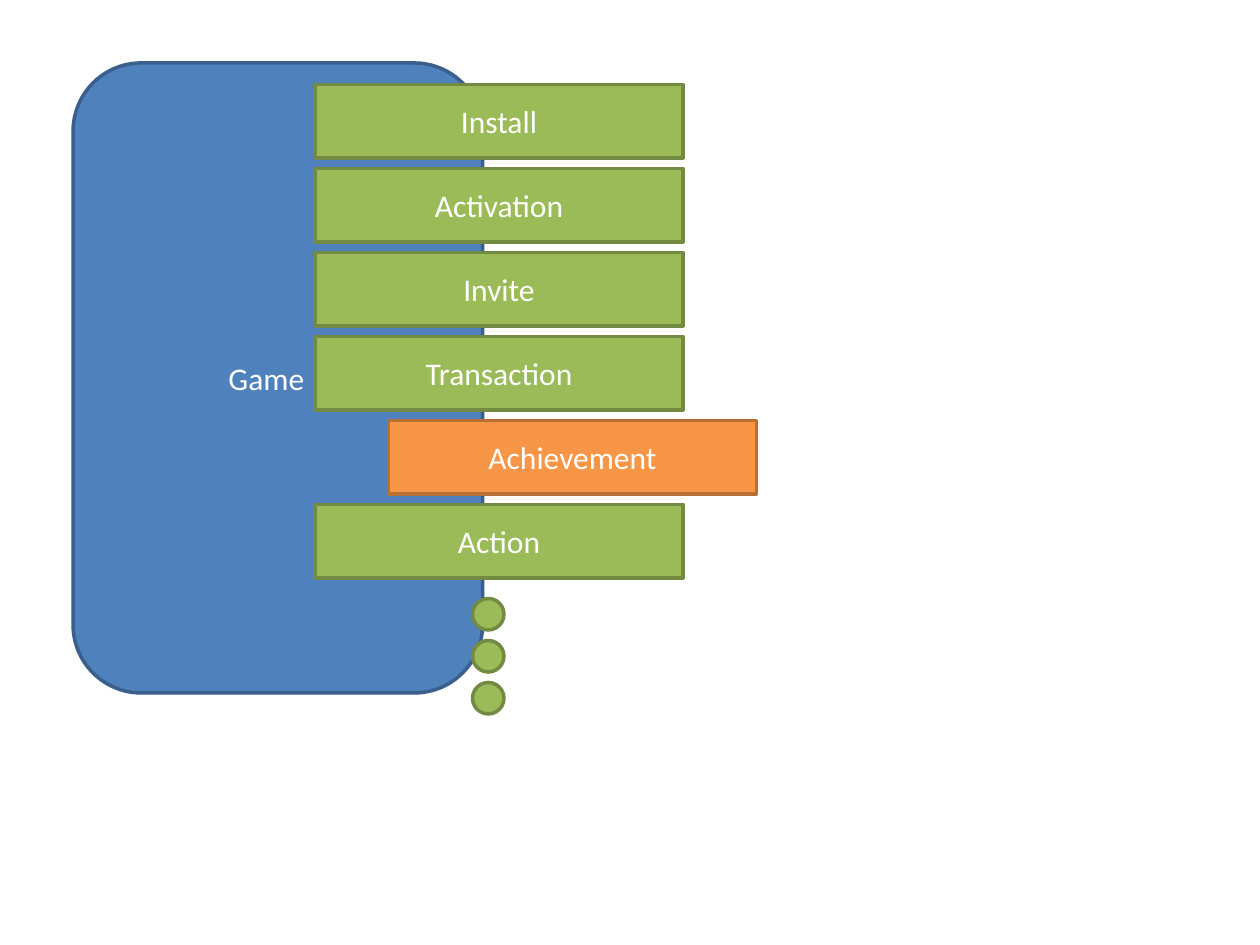
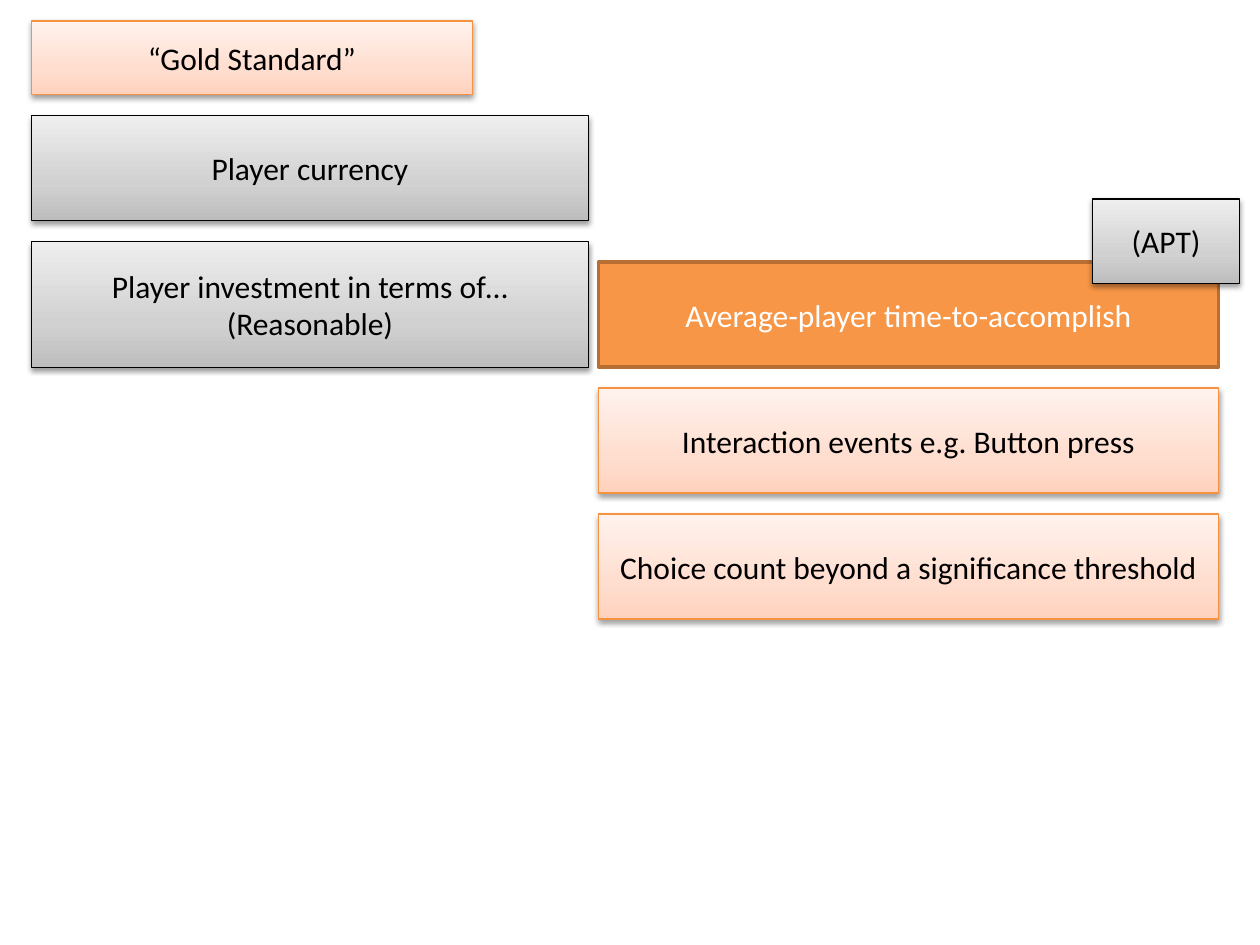
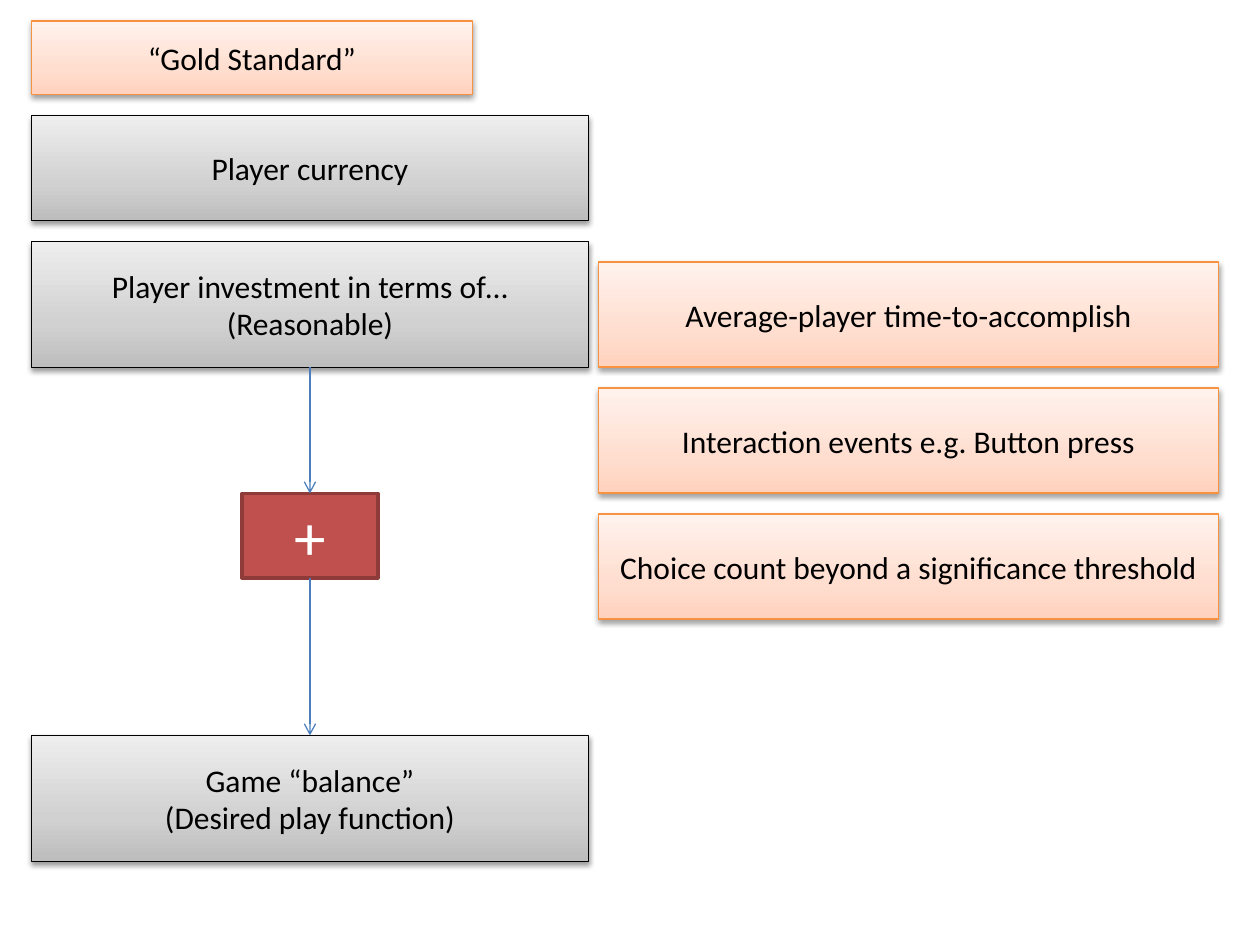
from dataclasses import dataclass

from lxml import etree
from pptx import Presentation
from pptx.dml.color import RGBColor
from pptx.enum.shapes import MSO_CONNECTOR, MSO_SHAPE
from pptx.enum.text import MSO_ANCHOR, PP_ALIGN
from pptx.oxml.ns import qn
from pptx.util import Inches, Pt

RECTANGLE = MSO_SHAPE.RECTANGLE
ROUNDED = MSO_SHAPE.ROUNDED_RECTANGLE
OVAL = MSO_SHAPE.OVAL
STRAIGHT = MSO_CONNECTOR.STRAIGHT
MIDDLE = MSO_ANCHOR.MIDDLE
CENTER = PP_ALIGN.CENTER

WHITE = RGBColor(0xFF, 0xFF, 0xFF)
BLACK = RGBColor(0x00, 0x00, 0x00)
BLUE = RGBColor(0x4F, 0x81, 0xBD)
BLUE_EDGE = RGBColor(0x3A, 0x5F, 0x8C)
GREEN = RGBColor(0x9B, 0xBB, 0x59)
GREEN_EDGE = RGBColor(0x73, 0x8A, 0x42)
ORANGE = RGBColor(0xF7, 0x96, 0x46)
ORANGE_EDGE = RGBColor(0xB7, 0x6F, 0x34)
RED = RGBColor(0xC0, 0x50, 0x4D)
RED_EDGE = RGBColor(0x8E, 0x3B, 0x39)
ARROW_BLUE = RGBColor(0x4B, 0x7E, 0xBC)
PEACH_EDGE = RGBColor(0xF6, 0x92, 0x40)
PEACH_STOPS = (
    (0, RGBColor(0xFF, 0xD2, 0xBD)),
    (35, RGBColor(0xFF, 0xDE, 0xD0)),
    (100, RGBColor(0xFF, 0xF2, 0xED)),
)
GRAY_STOPS = (
    (0, RGBColor(0xBD, 0xBD, 0xBD)),
    (35, RGBColor(0xD1, 0xD1, 0xD1)),
    (100, RGBColor(0xEE, 0xEE, 0xEE)),
)

FONT = "Calibri"
GAP = Inches(1 / 6)
ROW_HEIGHT = Inches(7 / 12)
CARD_HEIGHT = Inches(5 / 6)
TALL_HEIGHT = Inches(1)


@dataclass
class Box:
    left: int
    top: int
    width: int
    height: int

    @property
    def bottom(self):
        return self.top + self.height

    @property
    def center(self):
        return self.left + self.width // 2


@dataclass
class Style:
    fill: object
    edge: RGBColor
    text: RGBColor = WHITE
    soft: bool = False


BLUE_STYLE = Style(BLUE, BLUE_EDGE)
GREEN_STYLE = Style(GREEN, GREEN_EDGE)
ORANGE_STYLE = Style(ORANGE, ORANGE_EDGE)
RED_STYLE = Style(RED, RED_EDGE)
PEACH_STYLE = Style(PEACH_STOPS, PEACH_EDGE, BLACK, True)
GRAY_STYLE = Style(GRAY_STOPS, BLACK, BLACK, True)


def add_child(parent, tag, **attributes):
    return etree.SubElement(parent, qn(tag), attributes)


def add_color(parent, color):
    return add_child(parent, "a:srgbClr", val=str(color))


def fill_gradient(shape, stops):
    shape.fill.gradient()
    shape.fill.gradient_angle = 90
    stop_list = shape.element.spPr.find(".//" + qn("a:gsLst"))
    for old_stop in list(stop_list):
        stop_list.remove(old_stop)
    for percent, color in stops:
        add_color(add_child(stop_list, "a:gs", pos=str(percent * 1000)), color)


def add_shadow(shape):
    effects = shape.element.spPr.find(qn("a:effectLst"))
    shadow = add_child(effects, "a:outerShdw", blurRad="40000", dist="20000",
                       dir="5400000", rotWithShape="0")
    add_child(add_color(shadow, BLACK), "a:alpha", val="38000")


def add_block(page, box, style, lines=(), kind=RECTANGLE, size=18):
    shape = page.shapes.add_shape(kind, box.left, box.top, box.width, box.height)
    shape.shadow.inherit = False
    shape.line.color.rgb = style.edge
    shape.line.width = Pt(0.75 if style.soft else 2)
    if style.soft:
        fill_gradient(shape, style.fill)
        add_shadow(shape)
    else:
        shape.fill.solid()
        shape.fill.fore_color.rgb = style.fill
    frame = shape.text_frame
    frame.word_wrap = True
    frame.vertical_anchor = MIDDLE
    for index, line in enumerate(lines):
        para = frame.add_paragraph() if index else frame.paragraphs[0]
        para.alignment = CENTER
        span = para.add_run()
        span.text = line
        span.font.name = FONT
        span.font.size = Pt(size)
        span.font.color.rgb = style.text
    return shape


def add_arrow(page, x, top, bottom):
    arrow = page.shapes.add_connector(STRAIGHT, x, top, x, bottom)
    arrow.line.color.rgb = ARROW_BLUE
    arrow.line.width = Pt(0.75)
    properties = arrow.element.spPr
    add_child(properties.find(qn("a:ln")), "a:tailEnd", type="arrow")
    add_child(properties, "a:effectLst")


def add_event_rows(page, box):
    events = ("Install", "Activation", "Invite", "Transaction", "Achievement", "Action")
    for index, event in enumerate(events):
        special = event == "Achievement"
        left = box.left + (ROW_HEIGHT if special else 0)
        row = Box(left, box.top + index * Inches(2 / 3), box.width, ROW_HEIGHT)
        add_block(page, row, ORANGE_STYLE if special else GREEN_STYLE, (event,))


def add_more_dots(page, box):
    for index in range(3):
        dot = Box(box.left, box.top + index * Inches(1 / 3), box.width, box.width)
        add_block(page, dot, GREEN_STYLE, kind=OVAL)


def add_game_page(page, box):
    game = Box(box.left + Inches(0.58), box.top + Inches(0.5), Inches(3.25), Inches(5))
    panel = add_block(page, game, BLUE_STYLE, ("Game",), ROUNDED)
    panel.text_frame.margin_right = Inches(0.28)
    add_event_rows(page, Box(box.left + Inches(2.5), box.top + Inches(0.67),
                             Inches(2.92), Inches(3.92)))
    add_more_dots(page, Box(box.left + Inches(3.75), box.top + Inches(4.75),
                            Inches(0.25), Inches(0.92)))


def add_standard_column(page, box):
    title = Box(box.left, box.top, Inches(3.5), ROW_HEIGHT)
    currency = Box(box.left, title.bottom + GAP, box.width, CARD_HEIGHT)
    investment = Box(box.left, currency.bottom + GAP, box.width, TALL_HEIGHT)
    add_block(page, title, PEACH_STYLE, ("“Gold Standard”",))
    add_block(page, currency, GRAY_STYLE, ("Player currency",))
    add_block(page, investment, GRAY_STYLE,
              ("Player investment in terms of…", "(Reasonable)"))
    return investment


def add_measures(page, box, first_style):
    measures = (
        "Average-player time-to-accomplish",
        "Interaction events e.g. Button press",
        "Choice count beyond a significance threshold",
    )
    for index, measure in enumerate(measures):
        card = Box(box.left, box.top + index * (CARD_HEIGHT + GAP), box.width, CARD_HEIGHT)
        add_block(page, card, PEACH_STYLE if index else first_style, (measure,))


def add_standard_page(page, box, first_style):
    investment = add_standard_column(
        page, Box(box.left + Inches(0.25), box.top + GAP, Inches(4.42), Inches(2.75)))
    add_measures(page, Box(box.left + Inches(4.75), box.top + Inches(2.08),
                           Inches(4.92), Inches(2.83)), first_style)
    return investment


def add_time_tag(page, box):
    tag = Box(box.left + Inches(8.67), box.top + Inches(1.58), Inches(1.17), Inches(0.67))
    add_block(page, tag, GRAY_STYLE, ("(APT)",))


def add_balance_flow(page, source):
    plus_width = Inches(1.08)
    plus = Box(source.center - plus_width // 2, source.bottom + Inches(1),
               plus_width, Inches(0.67))
    balance = Box(source.left, plus.bottom + Inches(1.25), source.width, TALL_HEIGHT)
    add_block(page, balance, GRAY_STYLE, ("Game “balance”", "(Desired play function)"))
    add_block(page, plus, RED_STYLE, ("+",), size=36)
    add_arrow(page, source.center, source.bottom, plus.top)
    add_arrow(page, source.center, plus.bottom, balance.top)


def build_deck():
    deck = Presentation()
    deck.slide_width = Inches(10)
    deck.slide_height = Inches(7.5)
    full = Box(0, 0, deck.slide_width, deck.slide_height)
    blank = deck.slide_layouts[6]
    game_page, time_page, balance_page = [deck.slides.add_slide(blank) for _ in range(3)]
    add_game_page(game_page, full)
    add_standard_page(time_page, full, ORANGE_STYLE)
    add_time_tag(time_page, full)
    investment = add_standard_page(balance_page, full, PEACH_STYLE)
    add_balance_flow(balance_page, investment)
    deck.save("out.pptx")


build_deck()
